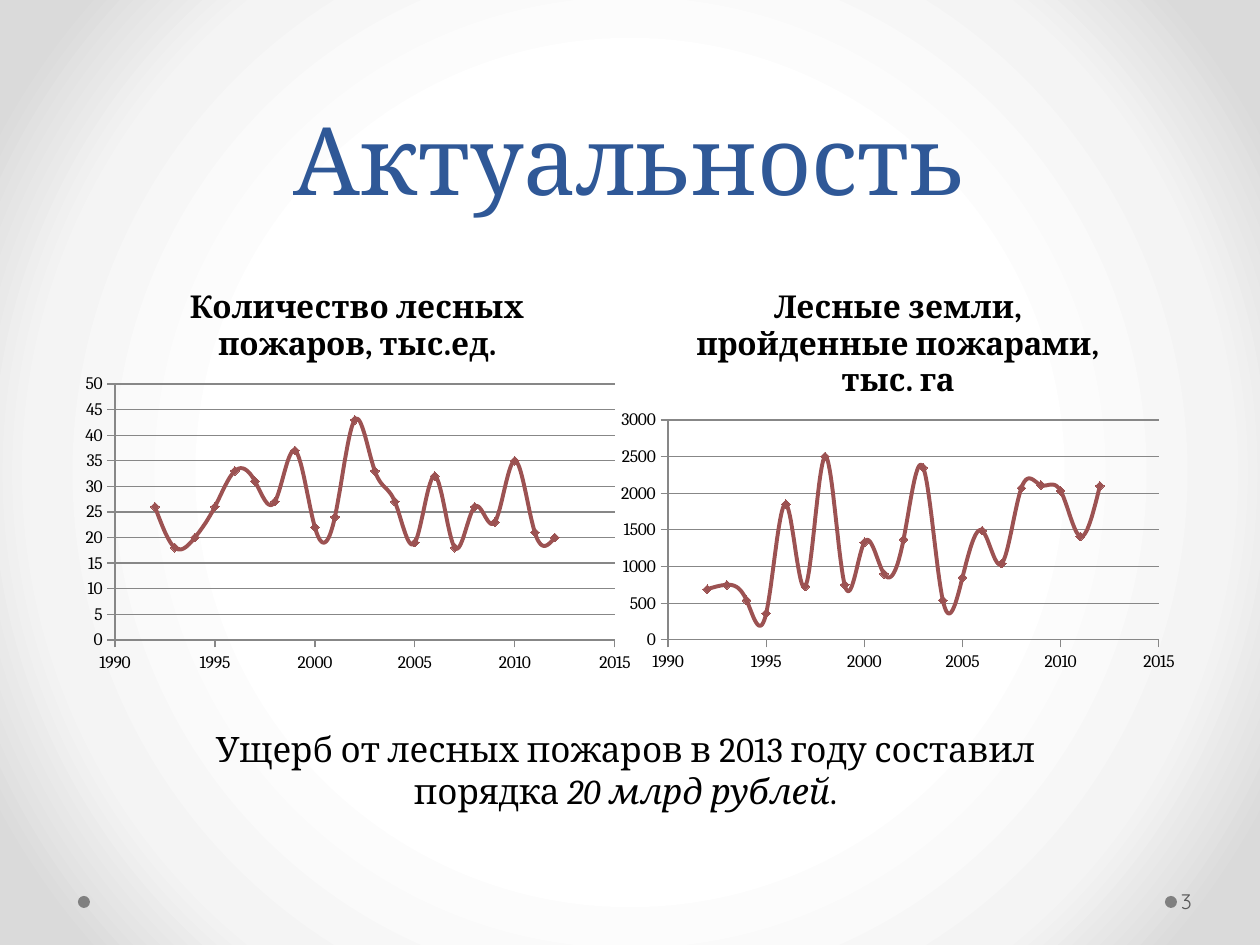
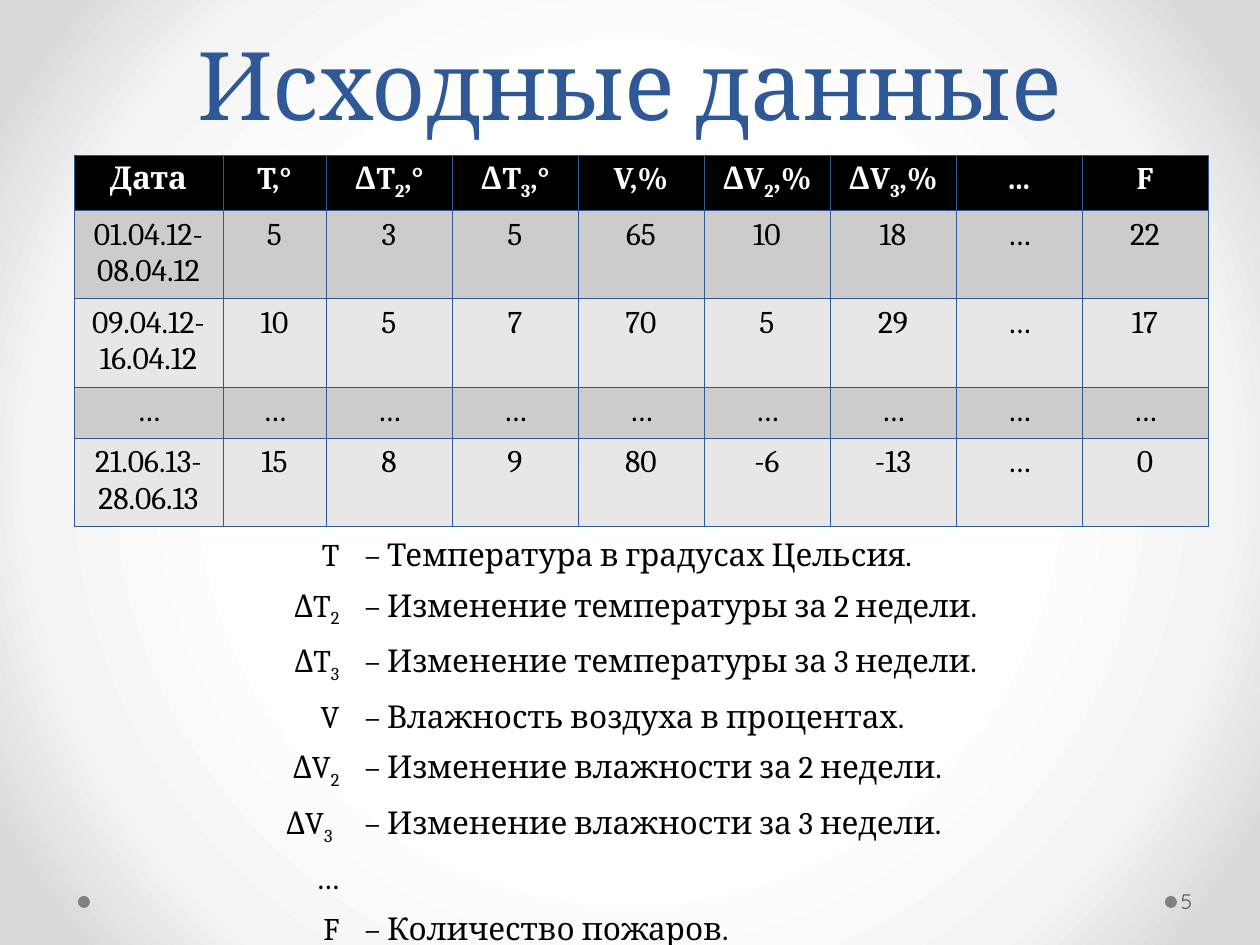
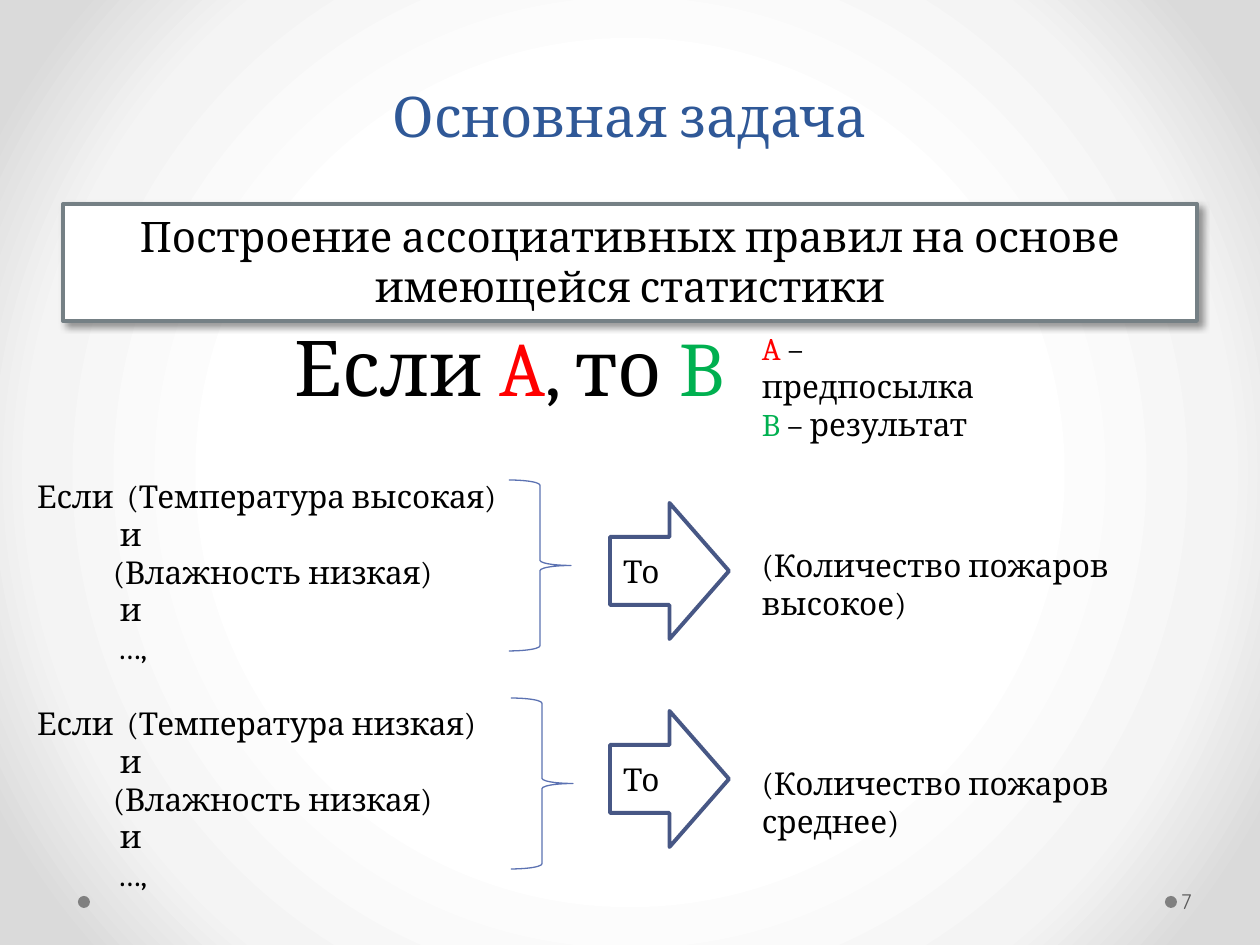
import pptx
import pptx.chart.data
import pptx.dml.color
import pptx.enum.chart
import pptx.enum.shapes
import pptx.enum.text
import pptx.oxml
import pptx.oxml.ns
import pptx.util

RGBColor = pptx.dml.color.RGBColor
Pt = pptx.util.Pt
Align = pptx.enum.text.PP_ALIGN
Anchor = pptx.enum.text.MSO_ANCHOR
Shape = pptx.enum.shapes.MSO_SHAPE

PIXELS_PER_INCH = 126
TITLE_BLUE = RGBColor(0x2F, 0x58, 0x97)
BLACK = RGBColor(0, 0, 0)
WHITE = RGBColor(0xFF, 0xFF, 0xFF)
DOT_GRAY = RGBColor(0x80, 0x80, 0x80)
NUMBER_GRAY = RGBColor(0x59, 0x59, 0x59)
GRID_GRAY = RGBColor(0x87, 0x87, 0x87)
DARK_BAND = RGBColor(0xCC, 0xCC, 0xCC)
LIGHT_BAND = RGBColor(0xE7, 0xE7, 0xE7)
SERIES_RED = RGBColor(0x9C, 0x52, 0x52)
RED = RGBColor(0xFF, 0, 0)
GREEN = RGBColor(0, 0xB0, 0x50)
FRAME_GRAY = RGBColor(0x75, 0x80, 0x85)
BRACE_BLUE = RGBColor(0x5C, 0x72, 0xB2)
ARROW_BLUE = RGBColor(0x47, 0x57, 0x85)
BACKGROUND_STOPS = [(50, WHITE), (76, RGBColor(0xF4, 0xF4, 0xF4)),
                    (92, RGBColor(0xDA, 0xDA, 0xDA))]

FONT = "Cambria"
INSETS = (13, 6, 13, 6)
NAMESPACES = pptx.oxml.ns.nsdecls("a", "c")
PLAIN_TABLE_STYLE = "{2D5ABB26-0587-4C30-8999-92F81FD0307C}"

FIRES = [26, 18, 20, 26, 33, 31, 27, 37, 22, 24, 43,
         33, 27, 19, 32, 18, 26, 23, 35, 21, 20]
BURNT_LAND = [690, 750, 540, 360, 1850, 730, 2500, 750, 1330, 900, 1370,
              2350, 540, 850, 1490, 1040, 2070, 2110, 2030, 1410, 2100]

WEATHER = [
    ["Дата", "T,°", "ΔT_2,°", "ΔT_3,°", "V,%", "ΔV_2,%", "ΔV_3,%", "…", "F"],
    ["01.04.12-08.04.12", "5", "3", "5", "65", "10", "18", "…", "22"],
    ["09.04.12-\n16.04.12", "10", "5", "7", "70", "5", "29", "…", "17"],
    ["…"] * 9,
    ["21.06.13-\n28.06.13", "15", "8", "9", "80", "-6", "-13", "…", "0"],
]
SYMBOLS = [
    ["T", "– Температура в градусах Цельсия."],
    ["ΔT_2", "– Изменение температуры за 2 недели."],
    ["ΔT_3", "– Изменение температуры за 3 недели."],
    ["V", "– Влажность воздуха в процентах."],
    ["ΔV_2", "– Изменение влажности за 2 недели."],
    ["ΔV_3 ", "– Изменение влажности за 3 недели."],
    ["…", ""],
    ["F", "– Количество пожаров."],
]


def px(length):
    return round(length * 914400 / PIXELS_PER_INCH)


def emu(box):
    return [px(length) for length in box]


def element(xml):
    """Build an XML element; the first tag takes the namespaces."""
    tag = xml[1:].split(" ")[0].split(">")[0].rstrip("/")
    return pptx.oxml.parse_xml(xml.replace(tag, f"{tag} {NAMESPACES}", 1))


# ---- text ----

def write_text(frame, paragraphs, size=18, color=BLACK, font=FONT, bold=False,
               align=None, spacing=None, indents=()):
    """Each paragraph is a string or a list of strings and (string, changes)."""
    for index, runs in enumerate(paragraphs):
        paragraph = frame.paragraphs[0] if index == 0 else frame.add_paragraph()
        paragraph.alignment = align
        if spacing:
            paragraph.line_spacing = Pt(spacing)
        if indents:
            paragraph._p.get_or_add_pPr().set("marL", str(px(indents[index])))
        for item in [runs] if isinstance(runs, str) else runs:
            text, changes = (item, {}) if isinstance(item, str) else item
            run = paragraph.add_run()
            run.text = text
            run.font.size = Pt(size)
            run.font.name = font
            run.font.bold = bold
            run.font.italic = changes.get("italic", False)
            run.font.color.rgb = changes.get("color", color)
            if "baseline" in changes:
                run.font._element.set("baseline", str(changes["baseline"]))


def add_text(slide, box, paragraphs, anchor=Anchor.TOP, insets=INSETS, **text_format):
    frame = slide.shapes.add_textbox(*emu(box)).text_frame
    set_frame(frame, anchor, insets)
    write_text(frame, paragraphs, **text_format)
    return frame


def set_frame(frame, anchor, insets):
    frame.word_wrap = True
    frame.vertical_anchor = anchor
    (frame.margin_left, frame.margin_top,
     frame.margin_right, frame.margin_bottom) = emu(insets)


def symbol_runs(text):
    """Set the character after an underscore as a subscript."""
    base, mark, rest = text.partition("_")
    if not mark:
        return base
    return [base, (rest[0], {"baseline": -25000})] + ([rest[1:]] if rest[1:] else [])


# ---- shared parts ----

def add_shape(slide, preset, box, fill=None, line=None, width=1):
    shape = slide.shapes.add_shape(preset, *emu(box))
    shape.shadow.inherit = False
    if fill is None:
        shape.fill.background()
    else:
        shape.fill.solid()
        shape.fill.fore_color.rgb = fill
    if line is None:
        shape.line.fill.background()
    else:
        shape.line.color.rgb = line
        shape.line.width = Pt(width)
    return shape


def set_background(master):
    master.background.fill.gradient()
    gradient = master.element.xpath("p:cSld/p:bg/p:bgPr/a:gradFill")[0]
    stops = "".join(f'<a:gs pos="{position * 1000}"><a:srgbClr val="{color}"/></a:gs>'
                    for position, color in BACKGROUND_STOPS)
    gradient.getparent().replace(gradient, element(
        f'<a:gradFill rotWithShape="1"><a:gsLst>{stops}</a:gsLst><a:path path="circle">'
        '<a:fillToRect l="50000" t="50000" r="50000" b="50000"/></a:path></a:gradFill>'))


def add_slide(presentation, title, title_box, number, title_size=54):
    slide = presentation.slides.add_slide(presentation.slide_layouts[6])
    for left in (1165, 78):
        add_shape(slide, Shape.OVAL, (left, 896, 12, 12), fill=DOT_GRAY)
    add_text(slide, title_box, [title], anchor=Anchor.BOTTOM, size=title_size,
             color=TITLE_BLUE, align=Align.CENTER, spacing=58)
    add_text(slide, (1177, 876, 77, 50), [number], anchor=Anchor.MIDDLE,
             insets=(4, 6, 6, 6), size=12, color=NUMBER_GRAY, font="Quicksand")
    return slide


# ---- charts ----

def add_year_chart(slide, box, title, values, top_value, step, plot):
    """The plot box is relative to the chart box."""
    data = pptx.chart.data.XyChartData()
    series_data = data.add_series("Series 1")
    for year, value in enumerate(values, start=1992):
        series_data.add_data_point(year, value)
    chart = slide.shapes.add_chart(
        pptx.enum.chart.XL_CHART_TYPE.XY_SCATTER_SMOOTH, *emu(box), data).chart
    chart.has_legend = False
    chart.font.size = Pt(10)
    chart.font.name = FONT
    chart.font.color.rgb = BLACK
    chart.has_title = True
    write_text(chart.chart_title.text_frame, [title], bold=True)
    chart.chart_title.include_in_layout = False

    # Axes
    for axis, low, high, unit in ((chart.category_axis, 1990, 2015, 5),
                                  (chart.value_axis, 0, top_value, step)):
        axis.minimum_scale, axis.maximum_scale, axis.major_unit = low, high, unit
        axis.major_tick_mark = pptx.enum.chart.XL_TICK_MARK.OUTSIDE
        axis.minor_tick_mark = pptx.enum.chart.XL_TICK_MARK.NONE
        axis.tick_labels.number_format = "General"
        axis.tick_labels.number_format_is_linked = False
        axis.format.line.color.rgb = GRID_GRAY
        axis.has_major_gridlines = axis is not chart.category_axis and low == 0
    chart.value_axis.major_gridlines.format.line.color.rgb = GRID_GRAY

    # Series
    chart.plots[0].vary_by_categories = False
    series = chart.plots[0].series[0]
    series.format.line.color.rgb = SERIES_RED
    series.format.line.width = Pt(2.25)
    series.marker.style = pptx.enum.chart.XL_MARKER_STYLE.DIAMOND
    series.marker.size = 5
    series.marker.format.fill.solid()
    series.marker.format.fill.fore_color.rgb = SERIES_RED
    series.marker.format.line.color.rgb = SERIES_RED
    for smooth in series._element.xpath("c:smooth"):
        smooth.set("val", "1")

    # Plot area
    area = chart._chartSpace.xpath("c:chart/c:plotArea")[0]
    for layout in area.xpath("c:layout"):
        area.remove(layout)
    sizes = "".join(f'<c:{name} val="{length / whole:.4f}"/>'
                    for name, length, whole in zip("xywh", plot, box[2:] * 2))
    area.insert(0, element(
        '<c:layout><c:manualLayout><c:layoutTarget val="inner"/><c:xMode val="edge"/>'
        f'<c:yMode val="edge"/>{sizes}</c:manualLayout></c:layout>'))


# ---- tables ----

def add_border(cell):
    properties = cell._tc.get_or_add_tcPr()
    for index, side in enumerate(("lnL", "lnR", "lnT", "lnB")):
        properties.insert(index, element(
            f'<a:{side} w="6350"><a:solidFill><a:srgbClr val="{TITLE_BLUE}"/>'
            f'</a:solidFill></a:{side}>'))


def add_table(slide, left, top, widths, heights, rows, aligns, fills=None):
    """With fills, one for each row, the table has borders and a white header."""
    table = slide.shapes.add_table(len(rows), len(widths), px(left), px(top),
                                   px(sum(widths)), px(sum(heights))).table
    table.first_row = table.horz_banding = False
    table._tbl.tblPr.xpath("a:tableStyleId")[0].text = PLAIN_TABLE_STYLE
    for column, width in zip(table.columns, widths):
        column.width = px(width)
    for row, height in zip(table.rows, heights):
        row.height = px(height)
    for row_index, row in enumerate(rows):
        header = bool(fills) and row_index == 0
        for column_index, text in enumerate(row):
            cell = table.cell(row_index, column_index)
            if text:
                write_text(cell.text_frame, [symbol_runs(line) for line in text.split("\n")],
                           color=WHITE if header else BLACK, bold=header,
                           align=aligns[column_index])
            if fills:
                cell.fill.solid()
                cell.fill.fore_color.rgb = fills[row_index]
                add_border(cell)
            else:
                cell.fill.background()


# ---- rules ----

def add_rule(slide, top, brace_left, text_shift, arrow_shift, temperature, result):
    """Condition, brace, arrow and result, with shifts measured from the brace top."""
    condition = add_text(
        slide, (24, top + text_shift, 486, 200),
        [f"Если\t(Температура {temperature})", "и", "(Влажность низкая)", "и", "…,"],
        insets=(13, 6, 0, 6), indents=(0, 83, 76, 83, 80))
    condition.paragraphs[0]._p.get_or_add_pPr().append(element(
        f'<a:tabLst><a:tab pos="{px(90)}" algn="l"/></a:tabLst>'))
    add_shape(slide, Shape.RIGHT_BRACE, (brace_left, top, 62, 171),
              line=BRACE_BLUE, width=0.75)
    add_shape(slide, Shape.RIGHT_ARROW, (610, top + arrow_shift, 119, 136),
              line=ARROW_BLUE, width=2.25)
    add_text(slide, (610, top + arrow_shift + 43, 70, 50), ["То"], insets=(13, 6, 0, 6))
    add_text(slide, (749, top + 60, 491, 88), [f"(Количество пожаров {result})"])


# ---- slides ----

def build_relevance(presentation):
    slide = add_slide(presentation, "Актуальность", (63, 0, 1134, 220), "3")
    add_year_chart(slide, (74, 265, 567, 417), "Количество лесных пожаров, тыс.ед.",
                   FIRES, 50, 5, (41, 119, 500, 256))
    add_year_chart(slide, (610, 265, 576, 417),
                   "Лесные земли, пройденные пожарами, тыс. га",
                   BURNT_LAND, 3000, 500, (58, 155, 491, 220))
    add_text(slide, (184, 721, 883, 97),
             [["Ущерб от лесных пожаров в 2013 году составил порядка ",
               ("20 млрд рублей", {"italic": True}), "."]],
             size=20, align=Align.CENTER)


def build_source_data(presentation):
    slide = add_slide(presentation, "Исходные данные", (63, 0, 1134, 145), "5")
    add_table(slide, 74, 155, [149, 103] + [126] * 7, [53, 85, 86, 51, 85], WEATHER,
              [Align.CENTER] * 9, [BLACK] + [DARK_BAND, LIGHT_BAND] * 2)
    add_table(slide, 261, 532, [91, 655], [50, 53, 53, 50, 53, 53, 50, 75], SYMBOLS,
              [Align.RIGHT, Align.LEFT])


def build_main_task(presentation):
    slide = add_slide(presentation, "Основная задача", (63, 38, 1134, 117), "7", 32)

    # Framed statement with a soft shadow
    statement = add_shape(slide, Shape.RECTANGLE, (63, 204, 1134, 117),
                          fill=WHITE, line=FRAME_GRAY, width=2.25)
    effects = statement._element.spPr.xpath("a:effectLst")[0]
    effects.append(element(
        f'<a:outerShdw blurRad="{Pt(4)}" dist="{Pt(3)}" dir="2700000">'
        f'<a:srgbClr val="{BLACK}"><a:alpha val="40000"/></a:srgbClr></a:outerShdw>'))
    set_frame(statement.text_frame, Anchor.TOP, (13, 6, 13, 0))
    write_text(statement.text_frame,
               ["Построение ассоциативных правил на основе имеющейся статистики"],
               size=24, align=Align.CENTER)

    # Rule form and its key
    premise, outcome = ("A", {"color": RED}), ("B", {"color": GREEN})
    add_text(slide, (282, 314, 465, 106), [["Если ", premise, ", то ", outcome]], size=44)
    add_text(slide, (749, 323, 280, 126),
             [[premise, " – предпосылка"], [outcome, " – результат"]])

    # Examples
    add_rule(slide, 480, 509, -9, 23, "высокая", "высокое")
    add_rule(slide, 698, 511, 0, 13, "низкая", "среднее")


def main():
    presentation = pptx.Presentation()
    presentation.slide_width, presentation.slide_height = px(1260), px(945)
    set_background(presentation.slide_master)
    build_relevance(presentation)
    build_source_data(presentation)
    build_main_task(presentation)
    presentation.save("out.pptx")


if __name__ == "__main__":
    main()
